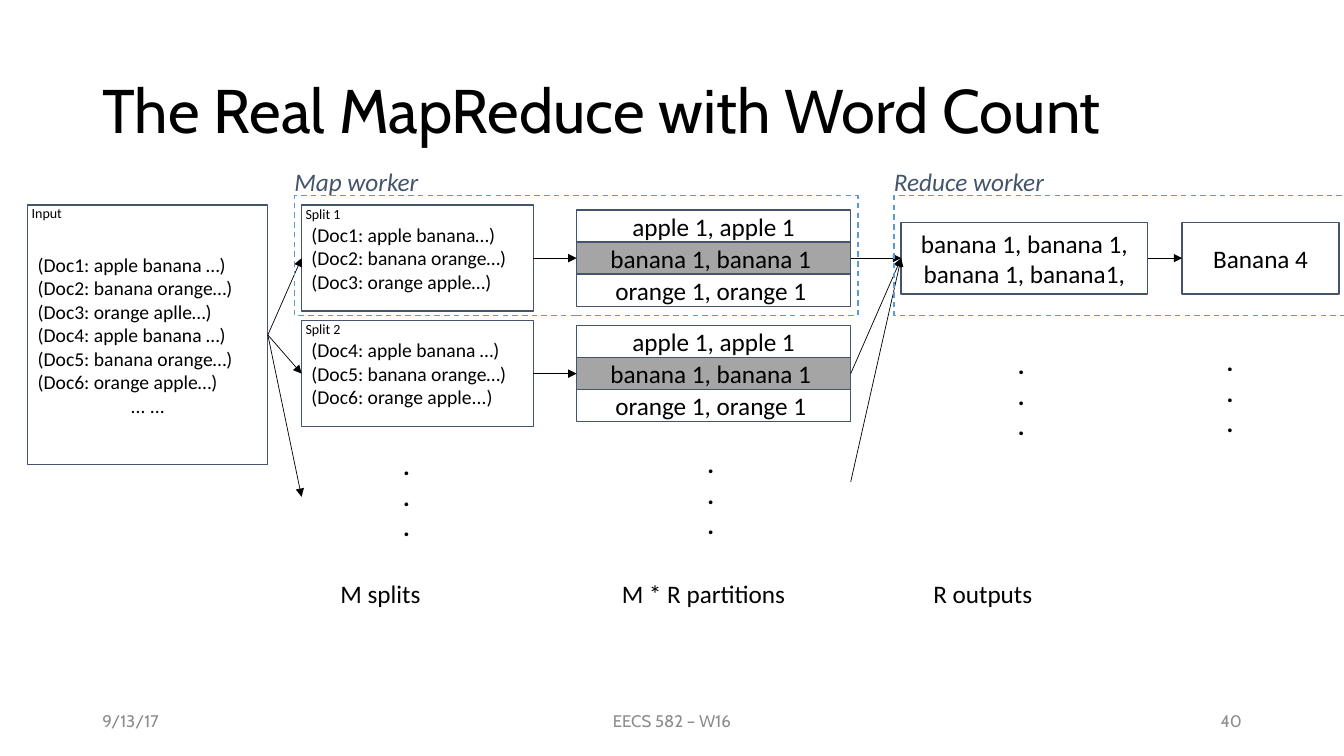
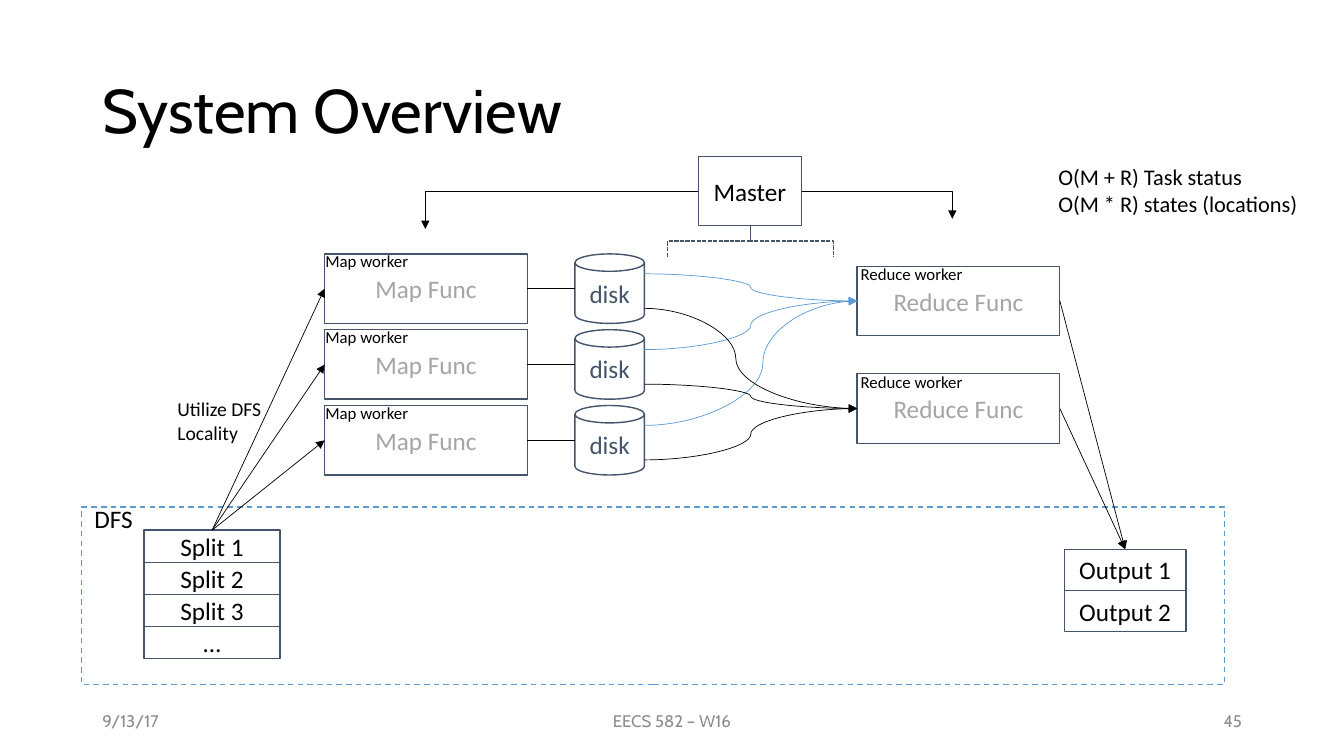
from pptx import Presentation
from pptx.dml.color import RGBColor
from pptx.enum.dml import MSO_LINE
from pptx.enum.shapes import MSO_CONNECTOR as LINK, MSO_SHAPE as SHAPE
from pptx.enum.text import MSO_ANCHOR as ANCHOR, PP_ALIGN as ALIGN
from pptx.oxml.ns import qn
from pptx.util import Cm, Pt
from lxml.etree import SubElement

BLACK = RGBColor(0x00, 0x00, 0x00)
SLATE = RGBColor(0x44, 0x54, 0x6A)
GRAY = RGBColor(0xA5, 0xA5, 0xA5)
FOOTER_GRAY = RGBColor(0x8C, 0x8C, 0x8C)
BLUE = RGBColor(0x5B, 0x9B, 0xD5)
HEAD_FONT, BODY_FONT = "Cabin", "Calibri"

# Word count slide
INPUT_LINES = ["(Doc1: apple banana …)", "(Doc2: banana orange…)",
               "(Doc3: orange aplle…)", "(Doc4: apple banana …)",
               "(Doc5: banana orange…)", "(Doc6: orange apple…)", "... ..."]
SPLITS = [
    ("Split 1", ["(Doc1: apple banana…)", "(Doc2: banana orange…)",
                 "(Doc3: orange apple…)"]),
    ("Split 2", ["(Doc4: apple banana …)", "(Doc5: banana orange…)",
                 "(Doc6: orange apple...)"]),
]
PARTITIONS = [("apple 1, apple 1", None), ("banana 1, banana 1 ", GRAY),
              ("orange 1, orange 1 ", None)]
WORKER_AREAS = [("Map worker", 7.42, 14.2), ("Reduce worker", 22.53, 11.35)]
ELLIPSES = [(9.91, 11.23), (17.58, 11.18), (25.4, 8.69), (30.66, 8.61)]
STAGES = [("M splits", 8.33), ("M * R partitions", 15.42), ("R outputs", 23.27)]

# System overview slide
MAP_COUNT = 3
REDUCE_TOPS = [6.71, 9.42]
STORE_SPLITS = ["Split 1", "Split 2", "Split 3", "…"]
OUTPUTS = ["Output 1", "Output 2"]
STATUS = ["O(M + R) Task status", "O(M * R) states (locations)"]
# Per reducer: colour, start below the disk top, bend position for each disk
SHUFFLES = [(BLUE, 0.5, [0.5, 0.5, 0.557]), (BLACK, 1.37, [0.43, 0.5, 0.5])]


def write(tf, lines, size=18, color=BLACK, align=ALIGN.LEFT, font=BODY_FONT,
          bold=False, italic=False, anchor=ANCHOR.TOP):
    tf.word_wrap = True
    tf.vertical_anchor = anchor
    for i, line in enumerate(lines):
        p = tf.paragraphs[0] if i == 0 else tf.add_paragraph()
        p.alignment = align
        r = p.add_run()
        r.text = line
        r.font.name, r.font.size = font, Pt(size)
        r.font.color.rgb = color
        r.font.bold, r.font.italic = bold, italic


def label(s, x, y, w, h, *lines, **style):
    sp = s.shapes.add_textbox(Cm(x), Cm(y), Cm(w), Cm(h))
    write(sp.text_frame, lines, **style)


def box(s, x, y, w, h, *lines, kind=SHAPE.RECTANGLE, fill=None, line=SLATE,
        dash=None, align=ALIGN.CENTER, **style):
    sp = s.shapes.add_shape(kind, Cm(x), Cm(y), Cm(w), Cm(h))
    sp.shadow.inherit = False
    if fill is None:
        sp.fill.background()
    else:
        sp.fill.solid()
        sp.fill.fore_color.rgb = fill
    sp.line.color.rgb = line
    sp.line.width = Pt(1)
    if dash:
        sp.line.dash_style = dash
    write(sp.text_frame, lines, align=align, anchor=ANCHOR.MIDDLE, **style)
    return sp


def stack(s, x, y, w, h, rows):
    """Touching boxes, one for each (text, fill) row."""
    for i, (text, fill) in enumerate(rows):
        box(s, x, y + i * h, w, h, text, fill=fill)


def link(s, start, end, kind=LINK.STRAIGHT, color=BLACK, arrow=True, bend=None):
    c = s.shapes.add_connector(kind, *map(Cm, start + end))
    c.line.color.rgb = color
    c.line.width = Pt(0.5)
    props = c._element.spPr
    if arrow:
        SubElement(props.find(qn("a:ln")), qn("a:tailEnd"), type="triangle")
    if bend is not None:
        geom = props.find(qn("a:prstGeom"))
        guides = geom.find(qn("a:avLst"))
        if guides is None:
            guides = SubElement(geom, qn("a:avLst"))
        SubElement(guides, qn("a:gd"), name="adj1", fmla=f"val {round(bend * 100000)}")
    SubElement(props, qn("a:effectLst"))


def add_slide(prs, title, number):
    s = prs.slides.add_slide(prs.slide_layouts[5])
    head = s.shapes.title
    head.left, head.top, head.width, head.height = map(Cm, (2.33, 1.01, 29.21, 3.68))
    write(head.text_frame, [title], size=44, font=HEAD_FONT, anchor=ANCHOR.MIDDLE)
    head.text_frame.paragraphs[0].line_spacing = 0.9
    for text, x, w, align in [("9/13/17", 2.33, 7.62, ALIGN.LEFT),
                              ("EECS 582 – W16", 11.22, 11.43, ALIGN.CENTER),
                              (number, 23.93, 7.62, ALIGN.RIGHT)]:
        label(s, x, 17.65, w, 1.01, text, size=12, font=HEAD_FONT,
              color=FOOTER_GRAY, align=align, anchor=ANCHOR.MIDDLE)
    return s


def word_count(prs):
    s = add_slide(prs, "The Real MapReduce with Word Count", "40")
    top, pitch = 5.17, 2.91
    input_x, input_w, input_h = 0.7, 6.05, 6.54
    split_x, split_w, split_h = 7.6, 5.84, 2.67
    part_x, part_w, part_h = 14.53, 6.91, 0.81
    merge_x, merge_w, out_x = 22.71, 6.21, 29.79
    mids = [top + split_h / 2 + i * pitch for i in range(len(SPLITS))]

    source = box(s, input_x, top, input_w, input_h, *INPUT_LINES,
                 size=14, align=ALIGN.LEFT)
    source.text_frame.paragraphs[-1].alignment = ALIGN.CENTER
    label(s, input_x - 0.15, top - 0.13, 2.26, 0.66, "Input", size=10)
    for (name, docs), mid in zip(SPLITS, mids):
        y = mid - split_h / 2
        box(s, split_x, y, split_w, split_h, *docs, size=14, align=ALIGN.LEFT)
        label(s, split_x - 0.15, y - 0.12, 2.18, 0.69, name, size=10)
        stack(s, part_x, mid - 1.5 * part_h, part_w, part_h, PARTITIONS)
        link(s, (split_x + split_w, mid), (part_x, mid))
    box(s, merge_x, 5.61, merge_w, 1.8, "banana 1, banana 1, banana 1, banana1,")
    box(s, out_x, 5.61, 3.96, 1.8, "Banana 4")

    for y in mids + [12.52]:
        link(s, (input_x + input_w, top + input_h / 2), (split_x, y))
    for y in mids + [12.14]:
        link(s, (part_x + part_w, y), (merge_x, mids[0]))
    link(s, (merge_x + merge_w, mids[0]), (out_x, mids[0]))

    for name, x, w in WORKER_AREAS:
        box(s, x, 4.93, w, 3.02, line=BLUE, dash=MSO_LINE.DASH)
        label(s, x - 0.25, 4.07, 4.45, 1.02, name, color=SLATE, italic=True)
    for x, y in ELLIPSES:
        label(s, x, y, 0.81, 2.57, ".", ".", ".", bold=True)
    for name, x in STAGES:
        label(s, x, 14.45, 5.11, 1.02, name)


def system_overview(prs):
    s = add_slide(prs, "System Overview", "45")
    work_w, work_h = 5.11, 1.75
    map_x, disk_x, reduce_x = 8.18, 14.49, 21.6
    split_x, split_y, split_w = 3.63, 13.36, 3.43
    out_x, out_y, out_w = 26.82, 13.84, 3.07
    master_x, master_y, master_w = 17.6, 3.94, 2.6
    map_tops = [6.4 + 1.91 * i for i in range(MAP_COUNT)]
    half = work_h / 2

    box(s, 2.06, 12.78, 28.8, 4.47, line=BLUE, dash=MSO_LINE.DASH)
    label(s, 2.13, 12.57, 1.6, 1.02, "DFS")
    stack(s, split_x, split_y, split_w, 0.81, [(t, None) for t in STORE_SPLITS])
    stack(s, out_x, out_y, out_w, 1.04, [(t, None) for t in OUTPUTS])

    for y in map_tops:
        box(s, map_x, y, work_w, work_h, "Map Func", color=GRAY)
        label(s, map_x - 0.23, y - 0.2, 2.84, 0.76, "Map worker", size=12)
        box(s, disk_x, y, work_h, work_h, "disk", kind=SHAPE.CAN, color=SLATE)
        link(s, (map_x + work_w, y + half), (disk_x, y + half), arrow=False)
        link(s, (split_x + split_w / 2, split_y), (map_x, y + half))

    for reduce_y, (color, drop, bends) in zip(REDUCE_TOPS, SHUFFLES):
        mid = reduce_y + half
        box(s, reduce_x, reduce_y, work_w, work_h, "Reduce Func", color=GRAY)
        label(s, reduce_x - 0.16, reduce_y - 0.18, 3.25, 0.76, "Reduce worker", size=12)
        link(s, (reduce_x + work_w, mid), (out_x + out_w / 2, out_y))
        for y, bend in zip(map_tops, bends):
            link(s, (disk_x + work_h, y + drop), (reduce_x, mid),
                 kind=LINK.CURVE, color=color, bend=bend)

    box(s, master_x, master_y, master_w, work_h, "Master")
    brace = box(s, 18.52, 3.99, 0.79, 4.17, kind=SHAPE.RIGHT_BRACE,
                dash=MSO_LINE.SQUARE_DOT)
    brace.rotation = 270
    brace.adjustments[0], brace.adjustments[1] = 0, 0.5
    for x, end in [(master_x, (10.72, 5.77)), (master_x + master_w, (24, 5.51))]:
        link(s, (x, master_y + half), end, kind=LINK.ELBOW, bend=1)
    label(s, 26.42, 3.99, 6.83, 1.63, *STATUS, size=16)
    label(s, 4.22, 9.88, 3.45, 1.45, "Utilize DFS Locality", size=14)


def main():
    prs = Presentation()
    prs.slide_width, prs.slide_height = Cm(33.87), Cm(19.05)
    word_count(prs)
    system_overview(prs)
    prs.save("out.pptx")


if __name__ == "__main__":
    main()
